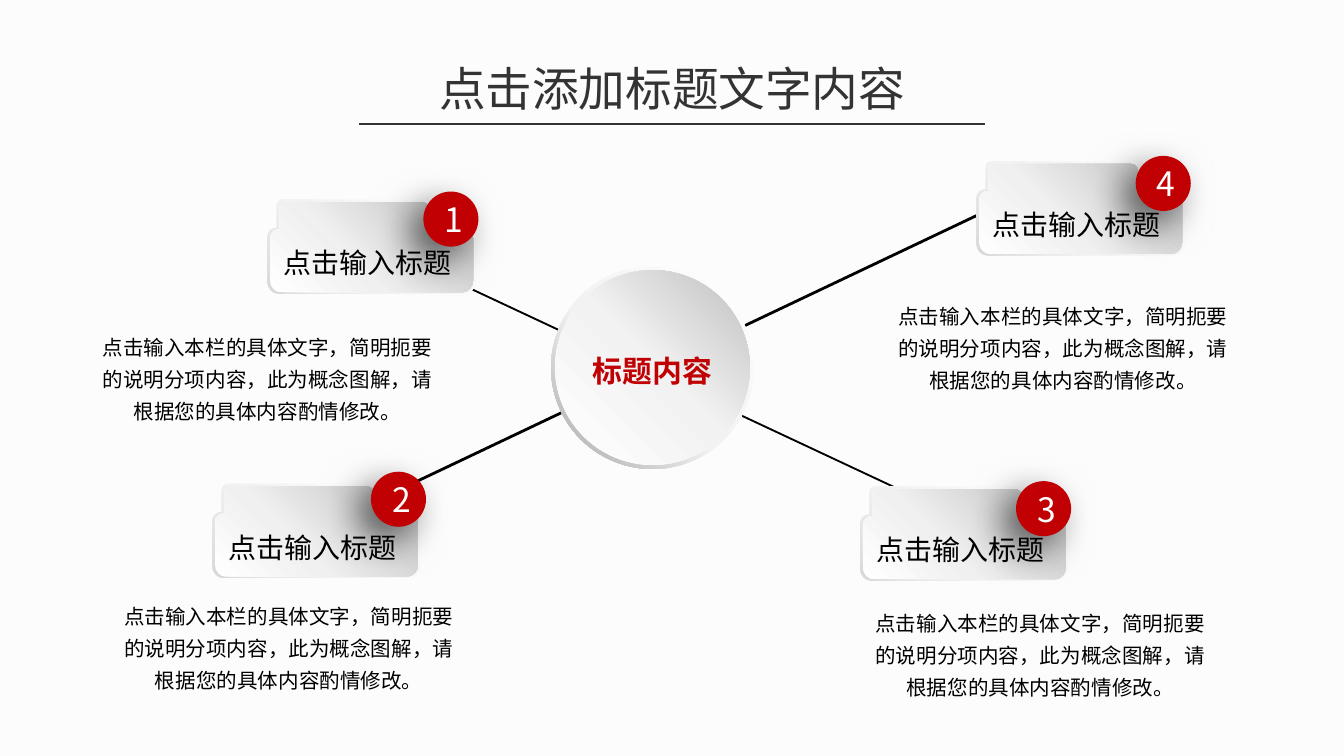
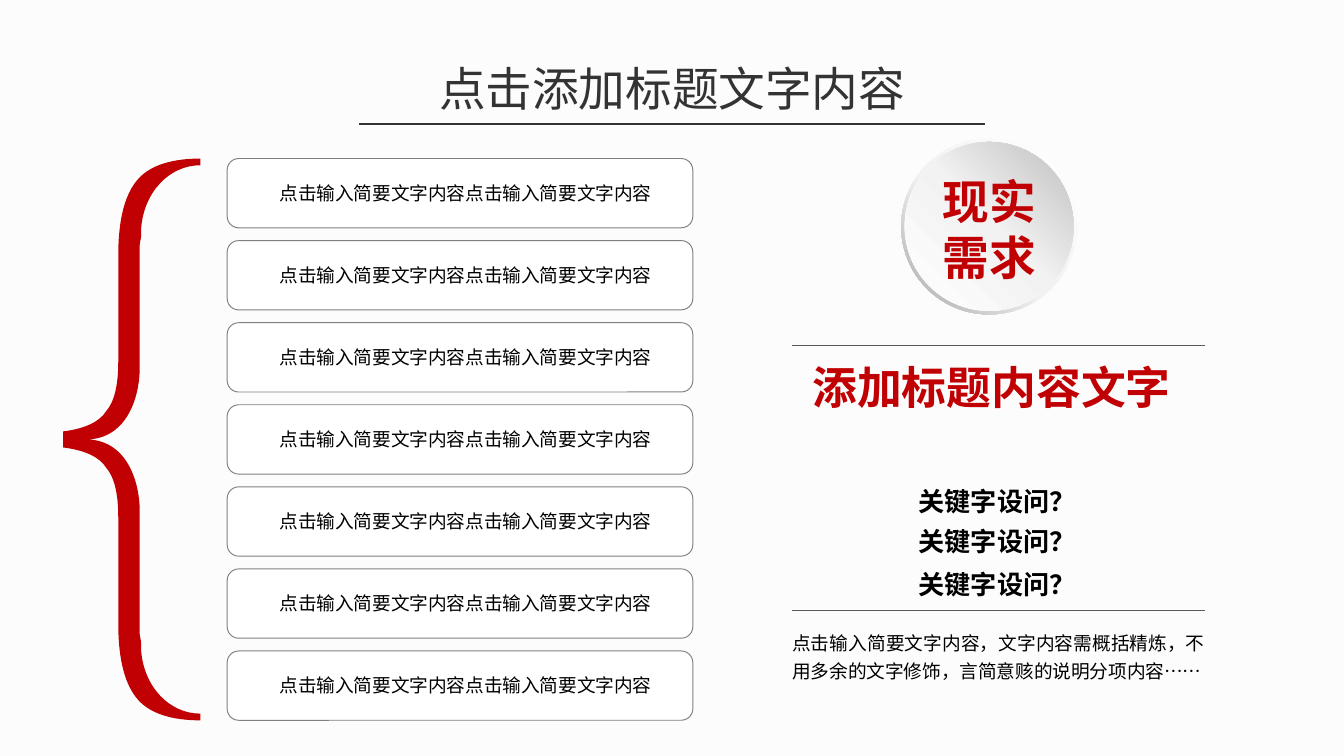
from lxml import etree
from pptx import Presentation, util as u
from pptx.dml.color import RGBColor
from pptx.enum import shapes, text
from pptx.oxml.ns import qn

COLORS = {
    "paper": "FCFCFC", "white": "FFFFFF", "black": "000000", "red": "C00002",
    "title": "333333", "rule": "595959", "border": "808080",
}
FONT = "Noto Sans CJK SC"
NO_INSET = 0
WIDTH = u.Inches(10)
HEIGHT = WIDTH * 9 // 16
CELL = WIDTH // 100  # square grid, 100 columns across the slide
TITLE_BOX = (26.7, 4, 46.6, 5.23)

# Gradients: stops (percent, colour) and clockwise angle
CARD_RIM = ([(0, "FFFFFF"), (62, "F2F2F2"), (100, "D9D9D9")], 135)
CARD_FACE = ([(0, "FFFFFF"), (39, "F0F0F0"), (100, "BFBFBF")], 315)
HUB_RIM = ([(0, "FFFFFF"), (55, "F2F2F2"), (100, "A6A6A6")], 135)
HUB_FACE = ([(0, "FFFFFF"), (51, "F2F2F2"), (100, "BFBFBF")], 315)

# Outlines: a step is one point (line) or three points (curve)
CARD_SIZE = (155, 70)
CARD_OUTLINE = [
    [(12, 0)], [(116, 0)], [(119, 0), (121, 2), (121, 5)],
    [(121, 20)], [(147, 20)], [(151, 20), (155, 24), (155, 28)],
    [(155, 61)], [(155, 66), (151, 70), (147, 70)],
    [(8, 70)], [(4, 70), (0, 66), (0, 61)],
    [(0, 28)], [(0, 24), (3, 21), (7, 21)],
    [(7, 5)], [(7, 2), (9, 0), (12, 0)],
]
BRACE_SIZE = (102, 418)
BRACE_UPPER_HALF = [
    [(0, 203)], [(16, 201), (27, 196), (32, 188)], [(38, 181), (41, 169), (41, 151)],
    [(41, 72)], [(41, 45), (46, 26), (56, 15)], [(65, 5), (81, 0), (102, 0)],
    [(102, 5)], [(79, 5), (60, 25), (58, 52)], [(58, 57)],
    [(58, 60), (57, 62), (57, 64)], [(57, 155)], [(57, 180), (46, 209), (17, 209)],
]


# ---- Shared helpers ----
def rgb(name):
    return RGBColor.from_string(COLORS[name])


def cells(*values):
    return [u.Emu(round(v * CELL)) for v in values]


def paint_gradient(shape, gradient):
    stops, angle = gradient
    shape.shadow.inherit = False
    shape.line.fill.background()
    shape.fill.gradient()
    shape.fill.gradient_angle = 360 - angle
    stop_list = shape._element.spPr.find(qn("a:gradFill")).find(qn("a:gsLst"))
    for old in list(stop_list):
        stop_list.remove(old)
    for percent, color in stops:
        stop = etree.SubElement(stop_list, qn("a:gs"), pos=str(percent * 1000))
        etree.SubElement(stop, qn("a:srgbClr"), val=color)


def paint_solid(shape, fill, border=None):
    shape.shadow.inherit = False
    shape.fill.solid()
    shape.fill.fore_color.rgb = rgb(fill)
    if border:
        shape.line.color.rgb = rgb(border)
        shape.line.width = u.Pt(0.5)
    else:
        shape.line.fill.background()


def write(frame, lines, size, color="black", bold=False, align="LEFT", spacing=None):
    for i, line in enumerate(lines):
        paragraph = frame.paragraphs[0] if i == 0 else frame.add_paragraph()
        paragraph.text = line
        paragraph.alignment = getattr(text.PP_ALIGN, align)
        if spacing:
            paragraph.line_spacing = spacing
        font = paragraph.font
        font.size, font.bold, font.name = u.Pt(size), bold, FONT
        font.color.rgb = rgb(color)
        defaults = paragraph._p.pPr.find(qn("a:defRPr"))
        etree.SubElement(defaults, qn("a:ea"), typeface=FONT)


def add_text(slide, box, lines, size, inset=None, wrap=True, **style):
    frame = slide.shapes.add_textbox(*cells(*box)).text_frame
    frame.word_wrap = wrap
    frame.auto_size = text.MSO_AUTO_SIZE.SHAPE_TO_FIT_TEXT
    if inset is not None:
        frame.margin_left = frame.margin_right = inset
        frame.margin_top = frame.margin_bottom = inset
    write(frame, lines, size, **style)


def add_line(slide, start, end, color, width):
    line = slide.shapes.add_connector(
        shapes.MSO_CONNECTOR.STRAIGHT, *cells(*start, *end))
    line.line.color.rgb = rgb(color)
    line.line.width = u.Pt(width)
    etree.SubElement(line._element.spPr, qn("a:effectLst"))


def add_outline(slide, box, steps, size):
    """Build a freeform from the steps' end points, then bend the curved ones."""
    left, top, width, height = box
    placed = [[cells(left + x * width / size[0], top + y * height / size[1])
               for x, y in step] for step in steps]
    ends = [step[-1] for step in placed]
    builder = slide.shapes.build_freeform(*ends[0], scale=1.0)
    builder.add_line_segments(ends[1:], close=True)
    shape = builder.convert_to_shape()
    segments = list(shape._element.spPr.iter(qn("a:lnTo")))
    for segment, step in zip(segments, placed[1:]):
        if len(step) == 3:
            curve = etree.Element(qn("a:cubicBezTo"))
            for x, y in step:
                etree.SubElement(curve, qn("a:pt"),
                                 x=str(x - shape.left), y=str(y - shape.top))
            segment.getparent().replace(segment, curve)
    return shape


def mirror_down(steps, height):
    """Walk the steps backwards, flipped about the middle of the height."""
    mirrored = []
    for previous, step in zip(steps[-2::-1], steps[:0:-1]):
        backwards = step[-2::-1] + [previous[-1]]
        mirrored.append([(x, height - y) for x, y in backwards])
    return mirrored


# ---- Regions shared by the slides ----
def add_title(slide, box):
    left, top, width, height = box
    add_text(slide, (left + 4.8, top, width - 9.6, height), ["点击添加标题文字内容"],
             25, color="title", align="CENTER")
    add_line(slide, (left, top + height), (left + width, top + height), "title", 0.75)


def add_hub(slide, box, label, size, label_share):
    left, top, width, height = box
    rim = slide.shapes.add_shape(shapes.MSO_SHAPE.DONUT, *cells(*box))
    rim.adjustments[0] = 0.049
    paint_gradient(rim, HUB_RIM)
    face = slide.shapes.add_shape(shapes.MSO_SHAPE.OVAL, *cells(
        left + 0.02 * width, top + 0.02 * height, 0.96 * width, 0.96 * height))
    paint_gradient(face, HUB_FACE)
    share_x, share_y = label_share
    add_text(slide, (left + (1 - share_x) / 2 * width,
                     top + (1.03 - share_y) / 2 * height,
                     share_x * width, share_y * height),
             label, size, inset=NO_INSET, color="red", bold=True, align="CENTER")


# ---- Regions of the hub diagram ----
def add_badge(slide, box, number):
    badge = slide.shapes.add_shape(shapes.MSO_SHAPE.OVAL, *cells(*box))
    paint_solid(badge, "red")
    effects = badge._element.spPr.find(qn("a:effectLst"))
    shadow = etree.SubElement(
        effects, qn("a:outerShdw"), blurRad=str(u.Pt(20)), dist=str(u.Pt(10)),
        dir=str(135 * 60000), algn="tr", rotWithShape="0")
    shade = etree.SubElement(shadow, qn("a:srgbClr"), val=COLORS["black"])
    etree.SubElement(shade, qn("a:alpha"), val="60000")
    badge.text_frame.vertical_anchor = text.MSO_ANCHOR.MIDDLE
    write(badge.text_frame, [str(number)], 18, color="white", align="CENTER")


def add_card(slide, box, number, badge_offset, detail_offset):
    left, top, width, height = box
    face_box = (left + 0.2, top + 0.2, width - 0.4, height - 0.3)
    for part_box, gradient in ((box, CARD_RIM), (face_box, CARD_FACE)):
        paint_gradient(add_outline(slide, part_box, CARD_OUTLINE, CARD_SIZE), gradient)
    add_text(slide, (left + 0.25, top + 2.95, 14.6, 3.5), ["点击输入标题"], 15, wrap=False)
    add_text(slide, (left + detail_offset[0], top + detail_offset[1], 26.8, 8.2),
             ["点击输入本栏的具体文字，简明扼要的说明分项内容，此为概念图解，"
              "请根据您的具体内容酌情修改。"], 11, align="CENTER", spacing=1.3)
    add_badge(slide, (left + badge_offset[0], top + badge_offset[1], 4.1, 4.1), number)


def build_hub_slide(slide):
    add_title(slide, TITLE_BOX)
    # Spokes run behind the hub from card to card
    add_line(slide, (72.2, 38.9), (32.5, 20.3), "black", 1)
    add_line(slide, (23.9, 39.2), (73.8, 15.5), "black", 1.5)
    cards = [  # left, top, badge offset, detail offset
        (19.9, 14.85, (11.6, -0.6), (-13.4, 9.05)),
        (15.8, 36, (11.8, -0.9), (-7.7, 7.9)),
        (64, 36.2, (11.6, -0.4), (0, 8.2)),
        (72.65, 12, (11.85, -0.4), (-6.95, 9.6)),
    ]
    for number, (left, top, badge, detail) in enumerate(cards, 1):
        add_card(slide, (left, top, 15.5, 7), number, badge, detail)
    add_hub(slide, (41, 19.8, 15.1, 15.1), ["标题内容"], 16, (0.67, 0.18))


# ---- Regions of the brace list ----
def add_brace(slide, box):
    steps = BRACE_UPPER_HALF + mirror_down(BRACE_UPPER_HALF, BRACE_SIZE[1])
    paint_solid(add_outline(slide, box, steps, BRACE_SIZE), "red")


def add_rows(slide, box, count=7, gap=0.95):
    left, top, width, height = box
    row_height = (height - gap * (count - 1)) / count
    for i in range(count):
        row_top = top + i * (row_height + gap)
        row = slide.shapes.add_shape(shapes.MSO_SHAPE.ROUNDED_RECTANGLE, *cells(
            left, row_top, width, row_height))
        paint_solid(row, "white", "border")
        add_text(slide, (left + 3.9, row_top + 1.7, 28.4, 1.7),
                 ["点击输入简要文字内容" * 2], 10, inset=NO_INSET, align="JUSTIFY")


def add_question_panel(slide, box):
    left, top, width, height = box
    right = left + width
    add_hub(slide, (left + 8.1, top, 13.1, 13.1), ["现实", "需求"], 25, (1.05, 0.64))
    for rule_top in (top + 15.4, top + 35.1):
        add_line(slide, (left, rule_top), (right, rule_top), "rule", 0.5)
    add_text(slide, (left + 1.5, top + 16.5, 27.6, 4), ["添加标题内容文字"], 24,
             inset=NO_INSET, color="red", bold=True, align="JUSTIFY")
    for question_top in (25.8, 28.8, 32):
        add_text(slide, (left + 6.6, top + question_top, 17.3, 2.4), ["关键字设问？"],
                 14, inset=NO_INSET, bold=True, align="CENTER")
    add_text(slide, (left, top + height - 4.2, width, 4.2),
             ["点击输入简要文字内容，文字内容需概括精炼，不用多余的文字修饰，"
              "言简意赅的说明分项内容……"],
             10, inset=NO_INSET, align="JUSTIFY", spacing=u.Pt(15))


def build_brace_slide(slide):
    add_title(slide, TITLE_BOX)
    add_brace(slide, (4.7, 11.8, 10.2, 41.8))
    add_rows(slide, (16.9, 11.8, 34.65, 41.8))
    add_question_panel(slide, (58.95, 10.3, 30.7, 40.5))


def main():
    prs = Presentation()
    prs.slide_width, prs.slide_height = WIDTH, HEIGHT
    backdrop = prs.slide_master.background.fill
    backdrop.solid()
    backdrop.fore_color.rgb = rgb("paper")
    blank = prs.slide_layouts[6]
    for build in (build_hub_slide, build_brace_slide):
        build(prs.slides.add_slide(blank))
    prs.save("out.pptx")


if __name__ == "__main__":
    main()
